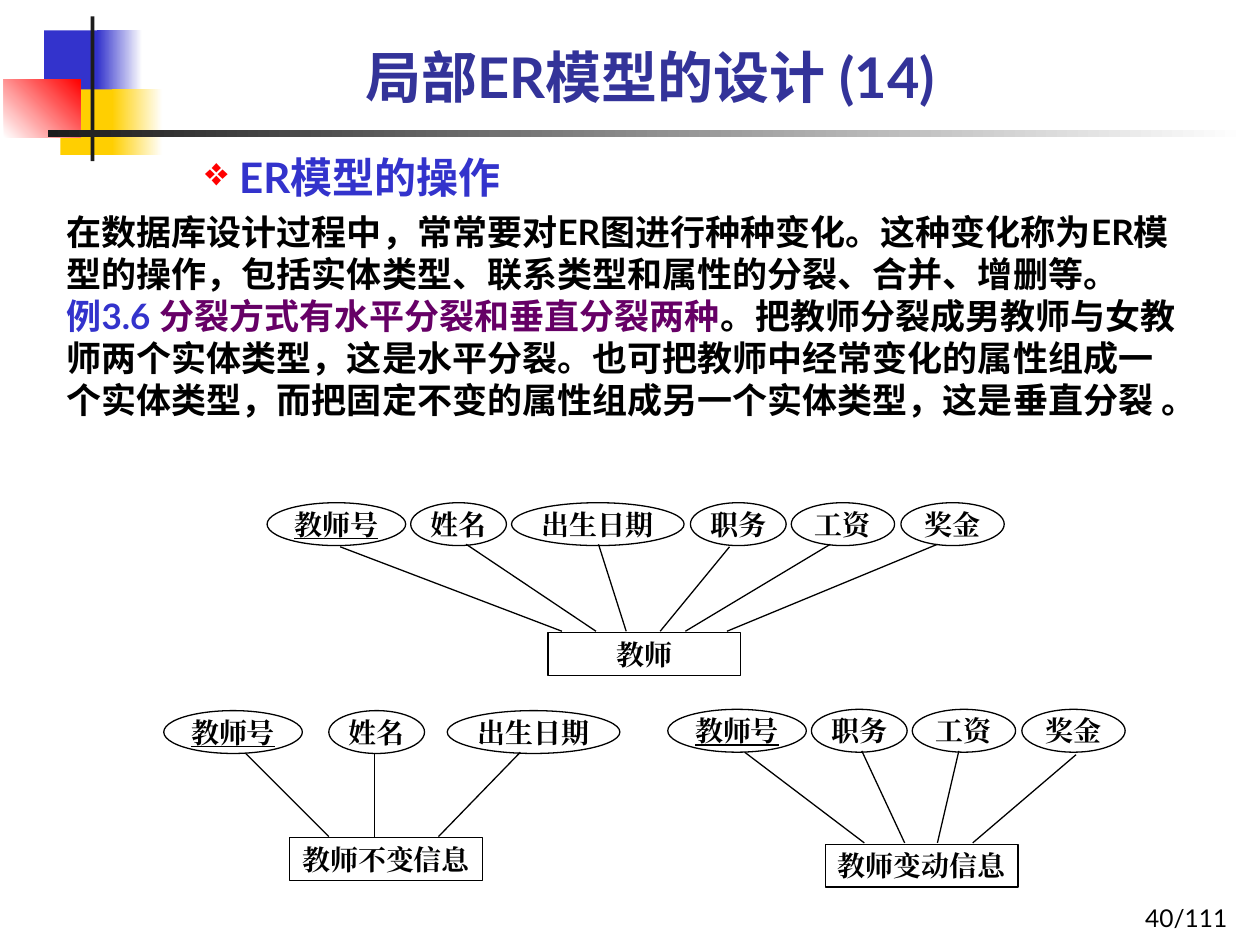
from lxml import etree
from pptx import Presentation
from pptx.dml.color import RGBColor
from pptx.enum.shapes import MSO_CONNECTOR, MSO_SHAPE
from pptx.enum.text import MSO_ANCHOR, MSO_AUTO_SIZE, PP_ALIGN
from pptx.oxml.ns import qn
from pptx.util import Inches, Pt

COLORS = {
    "black": "000000", "white": "FFFFFF", "ink": "1C1C1C", "blue": "3333CC",
    "yellow": "FFCF01", "red": "FF0000", "title": "333399", "purple": "660066",
}
SANS, SERIF = "Lato", "Times New Roman"

# Attribute ovals: label -> (width, fill)
ATTRIBUTES = {
    "教师号": (1.1, None), "姓名": (0.76, None), "出生日期": (1.37, None),
    "职务": (0.76, None), "工资": (0.82, "white"), "奖金": (0.82, "white"),
}
KEY_ATTRIBUTE = "教师号"
NODE_HEIGHT, ENTITY_WIDTH = 0.34, 1.53


def rgb(name):
    return RGBColor.from_string(COLORS[name])


def add_run(paragraph, text, size, color, font=SANS, bold=True, underline=None):
    run = paragraph.add_run()
    run.text = text
    run.font.name = font
    run.font.size = Pt(size)
    run.font.bold = bold
    run.font.underline = underline
    run.font.color.rgb = rgb(color)
    # Same typeface for East Asian text
    east_asian = etree.Element(qn("a:ea"), typeface=font)
    run.font._element.find(qn("a:latin")).addnext(east_asian)


def add_block(slide, left, top, width, height, color, end=None, angle=0):
    block = slide.shapes.add_shape(
        MSO_SHAPE.RECTANGLE, Inches(left), Inches(top), Inches(width), Inches(height))
    block.shadow.inherit = False
    block.line.fill.background()
    if end is None:
        block.fill.solid()
        block.fill.fore_color.rgb = rgb(color)
    else:
        block.fill.gradient()
        block.fill.gradient_angle = angle
        for stop, name in zip(block.fill.gradient_stops, (color, end)):
            stop.color.rgb = rgb(name)


def add_ornament(slide, left, top):
    """Overlapping colour blocks with a cross of two bars."""
    blocks = [
        (0.32, 0.11, 0.48, 0.52, "blue"),
        (0.74, 0.11, 0.36, 0.52, "blue", "white"),
        (0.45, 0.58, 0.46, 0.52, "yellow"),
        (0.86, 0.58, 0.4, 0.52, "yellow", "white"),
        (0, 0.5, 0.61, 0.46, "white", "red", 45),
        (0.69, 0, 0.03, 1.15, "ink"),
        (0.35, 0.9, 9.51, 0.06, "ink", "white"),
    ]
    for x, y, *rest in blocks:
        add_block(slide, left + x, top + y, *rest)


def fill_title(slide, left, top, width, height):
    title = slide.shapes.title
    title.left, title.top = Inches(left), Inches(top)
    title.width, title.height = Inches(width), Inches(height)
    frame = title.text_frame
    frame.auto_size = MSO_AUTO_SIZE.NONE
    frame.vertical_anchor = MSO_ANCHOR.BOTTOM
    heading = frame.paragraphs[0]
    heading.alignment = PP_ALIGN.CENTER
    add_run(heading, "局部ER模型的设计 (14)", 32, "title")


def add_text_frame(slide, left, top, width, height):
    box = slide.shapes.add_textbox(
        Inches(left), Inches(top), Inches(width), Inches(height))
    box.text_frame.word_wrap = True
    return box.text_frame


def add_body(slide, left, top, width, height):
    frame = add_text_frame(slide, left, top, width, height)

    # Bulleted heading
    heading = frame.paragraphs[0]
    properties = heading._p.get_or_add_pPr()
    properties.set("marL", str(Inches(1.37)))
    properties.set("indent", str(Inches(-0.27)))
    bullet_color = etree.SubElement(properties, qn("a:buClr"))
    etree.SubElement(bullet_color, qn("a:srgbClr"), val=COLORS["red"])
    etree.SubElement(properties, qn("a:buSzPct"), val="95000")
    etree.SubElement(properties, qn("a:buChar"), char="❖")
    add_run(heading, "ER模型的操作", 24, "blue")

    # Definition
    definition = frame.add_paragraph()
    definition.space_before = Pt(5)
    add_run(definition, "在数据库设计过程中，常常要对ER图进行种种变化。这种变化称为ER"
            "模型的操作，包括实体类型、联系类型和属性的分裂、合并、增删等。", 20, "black")

    # Example
    example = frame.add_paragraph()
    add_run(example, "例3.6 ", 20, "blue")
    add_run(example, "分裂方式有水平分裂和垂直分裂两种", 20, "purple")
    add_run(example, "。把教师分裂成男教师与女教师两个实体类型，这是水平分裂。"
            "也可把教师中经常变化的属性组成一个实体类型，"
            "而把固定不变的属性组成另一个实体类型，这是垂直分裂 。", 20, "black")

    for paragraph in frame.paragraphs:
        paragraph.line_spacing = 1.0


def add_node(slide, geometry, left, top, width, label, fill):
    node = slide.shapes.add_shape(
        geometry, Inches(left), Inches(top), Inches(width), Inches(NODE_HEIGHT))
    node.shadow.inherit = False
    if fill:
        node.fill.solid()
        node.fill.fore_color.rgb = rgb(fill)
    else:
        node.fill.background()
    node.line.color.rgb = rgb("black")
    node.line.width = Pt(0.75)
    frame = node.text_frame
    frame.margin_left = frame.margin_right = frame.margin_top = frame.margin_bottom = 0
    frame.word_wrap = True
    frame.vertical_anchor = MSO_ANCHOR.MIDDLE
    caption = frame.paragraphs[0]
    caption.alignment = PP_ALIGN.CENTER
    add_run(caption, label, 16, "black", SERIF, underline=label == KEY_ATTRIBUTE or None)


def add_link(slide, x1, y1, x2, y2):
    link = slide.shapes.add_connector(
        MSO_CONNECTOR.STRAIGHT, Inches(x1), Inches(y1), Inches(x2), Inches(y2))
    link.line.color.rgb = rgb("black")
    link.line.width = Pt(0.75)
    etree.SubElement(link._element.spPr, qn("a:effectLst"))


def add_er_diagram(slide, left, top, entity, entity_x, entity_y, attributes):
    """Attributes are (label, oval x, link start x, link start y, link end x)."""
    add_node(slide, MSO_SHAPE.RECTANGLE, left + entity_x, top + entity_y,
             ENTITY_WIDTH, entity, "white")
    for label, oval_x, start_x, start_y, end_x in attributes:
        width, fill = ATTRIBUTES[label]
        add_node(slide, MSO_SHAPE.OVAL, left + oval_x, top, width, label, fill)
        add_link(slide, left + start_x, top + start_y,
                 left + end_x, top + entity_y - 0.01)


def add_page_number(slide, left, top, width, height):
    frame = add_text_frame(slide, left, top, width, height)
    frame.vertical_anchor = MSO_ANCHOR.BOTTOM
    number = frame.paragraphs[0]
    number.alignment = PP_ALIGN.RIGHT
    add_run(number, "40/111", 14, "black", bold=False)


def main():
    deck = Presentation()
    deck.slide_width, deck.slide_height = Inches(10), Inches(7.5)
    slide = deck.slides.add_slide(deck.slide_layouts[5])

    add_ornament(slide, 0.03, 0.13)
    add_page_number(slide, 7.76, 6.95, 2.08, 0.5)
    add_body(slide, 0.43, 1.15, 9.06, 3.07)
    fill_title(slide, 0.9, 0.05, 8.52, 0.87)

    # Entity before the split
    add_er_diagram(slide, 2.12, 3.99, "教师", 2.23, 1.03, [
        ("教师号", 0, 0.58, 0.35, 2.34),
        ("姓名", 1.14, 1.58, 0.33, 2.61),
        ("出生日期", 1.94, 2.63, 0.33, 2.85),
        ("职务", 3.36, 3.67, 0.35, 3.12),
        ("工资", 4.16, 4.47, 0.33, 3.32),
        ("奖金", 5.03, 5.32, 0.33, 3.65),
    ])
    # Entities after the vertical split
    add_er_diagram(slide, 1.3, 5.64, "教师不变信息", 1, 1.01, [
        ("教师号", 0, 0.65, 0.34, 1.31),
        ("姓名", 1.31, 1.67, 0.34, 1.67),
        ("出生日期", 2.25, 2.83, 0.33, 2.18),
    ])
    add_er_diagram(slide, 5.3, 5.63, "教师变动信息", 1.25, 1.07, [
        ("教师号", 0, 0.61, 0.34, 1.56),
        ("职务", 1.14, 1.54, 0.33, 1.88),
        ("工资", 1.94, 2.31, 0.33, 2.14),
        ("奖金", 2.81, 3.24, 0.36, 2.42),
    ])
    deck.save("out.pptx")


if __name__ == "__main__":
    main()
